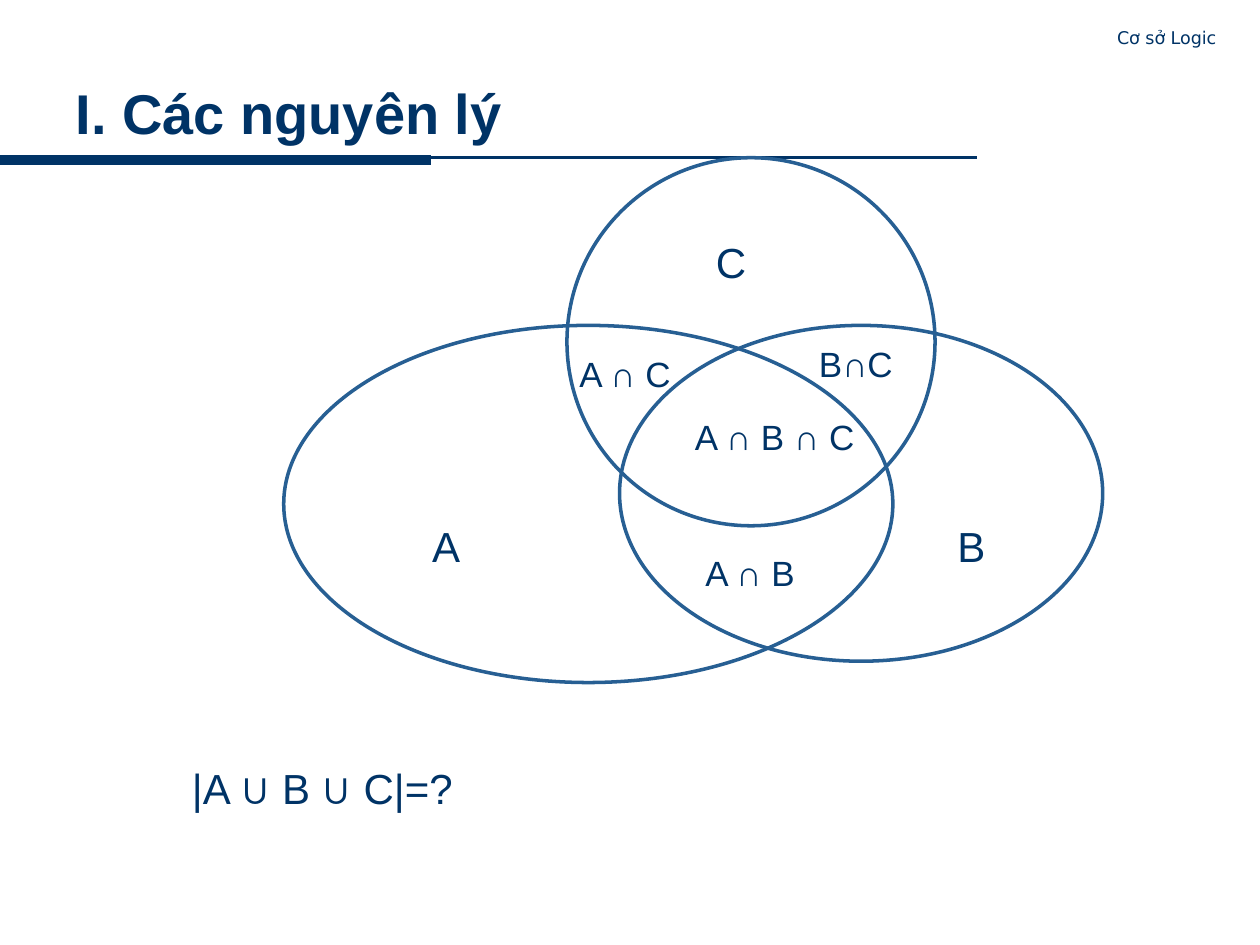
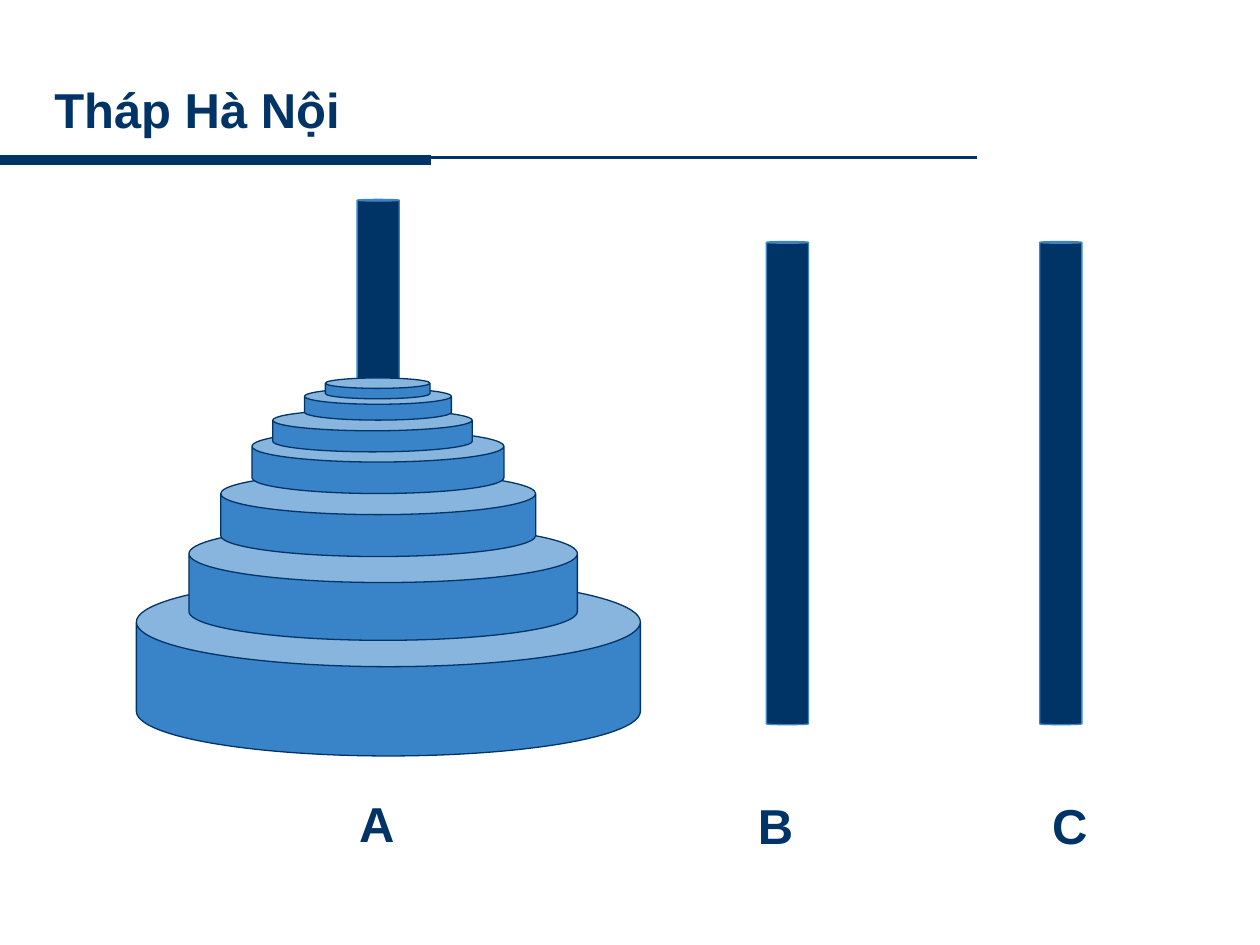
from lxml import etree
from pptx import Presentation
from pptx import util as u
from pptx.dml.color import RGBColor
from pptx.enum import shapes, text
from pptx.oxml import ns

Cm, Pt = u.Cm, u.Pt
NAVY, BLUE, OUTLINE = "003366", "3984C9", "275F93"
FONT = "Arial"


def paint(color_format, hex_color):
    """Give a fill or a font colour its hex colour."""
    color_format.rgb = RGBColor.from_string(hex_color)


def write(sp, words, left, top, width, height, size, bold=False,
          font=FONT, align=text.PP_ALIGN.LEFT, anchor=text.MSO_ANCHOR.TOP):
    """Place a box or placeholder and write one formatted line in it."""
    sp.left, sp.top, sp.width, sp.height = map(Cm, (left, top, width, height))
    tf = sp.text_frame
    tf.word_wrap = True
    tf.auto_size = text.MSO_AUTO_SIZE.NONE
    tf.vertical_anchor = anchor
    p = tf.paragraphs[0]
    p.text = words
    p.alignment = align
    p.font.name, p.font.size, p.font.bold = font, Pt(size), bold
    paint(p.font.color, NAVY)


prs = Presentation()
prs.slide_width, prs.slide_height = Cm(25.4), Cm(19.05)

# Titles and the double rule below them: words, left, width, height, size
titles = [("I. Các nguyên lý", 1.27, 21.39, 1.57, 32),
          ("Tháp Hà Nội", 0.84, 10, 1.45, 28)]
rules = [(19.69, 3.18, 1.5), (8.69, 3.23, 6)]  # right end, height on slide, weight

for words, left, width, height, size in titles:
    s = prs.slides.add_slide(prs.slide_layouts[5])
    for right, y, weight in rules:
        line = s.shapes.add_connector(shapes.MSO_CONNECTOR.STRAIGHT,
                                      Cm(0), Cm(y), Cm(right), Cm(y))
        paint(line.line.color, NAVY)
        line.line.width = Pt(weight)
        etree.SubElement(line._element.spPr, ns.qn("a:effectLst"))
    write(s.shapes.title, words, left, 1.47, width, height, size, bold=True,
          anchor=text.MSO_ANCHOR.MIDDLE)

venn, tower = prs.slides

# Slide 1: three overlapping sets
sets = [(11.43, 3.18, 7.42, 7.42),   # C
        (5.72, 6.56, 12.28, 7.2),    # A
        (12.49, 6.56, 9.74, 6.77)]   # B
for box in sets:
    sp = venn.shapes.add_shape(shapes.MSO_SHAPE.OVAL, *map(Cm, box))
    sp.shadow.inherit = False
    sp.fill.background()
    paint(sp.line.color, OUTLINE)
    sp.line.width = Pt(2)

# Labels of the sets and their intersections, then the question
labels = [("A ∩ B", 13.97, 11, 3, 20),
          ("A ∩ C", 11.43, 6.99, 3.4, 20),
          ("B∩C", 16.26, 6.78, 3, 20),
          ("A ∩ B ∩ C", 13.76, 8.26, 4.2, 20),
          ("A", 8.46, 10.37, 1.5, 24),
          ("B", 19.05, 10.37, 1.5, 24),
          ("C", 14.18, 4.65, 1.5, 24),
          ("|A ∪ B ∪ C|=?", 3.62, 15.24, 18.6, 24)]
for words, left, top, width, size in labels:
    sp = venn.shapes.add_textbox(0, 0, 0, 0)
    write(sp, words, left, top, width, 1.27, size)

# Course name in the corner
write(venn.shapes.add_textbox(0, 0, 0, 0), "Cơ sở Logic", 19.89, 0.43, 4.88, 0.64,
      10, font="DejaVu Sans", align=text.PP_ALIGN.RIGHT)

# Slide 2: pegs behind, discs from the largest to the smallest
pegs = [(15.45, 4.87, 0.85, 9.74), (20.96, 4.87, 0.85, 9.74), (7.2, 4.02, 0.85, 3.81)]
discs = [(2.75, 11.64, 10.16, 3.6),
         (3.81, 10.58, 7.83, 2.33),
         (4.45, 9.53, 6.35, 1.69),
         (5.08, 8.68, 5.08, 1.27),
         (5.5, 8.26, 4.02, 0.85),
         (6.14, 7.83, 2.96, 0.64),
         (6.56, 7.62, 2.11, 0.42)]
for cans, fill, edge, curve in [(pegs, NAVY, BLUE, 0.04), (discs, BLUE, NAVY, 0.5)]:
    for box in cans:
        sp = tower.shapes.add_shape(shapes.MSO_SHAPE.CAN, *map(Cm, box))
        sp.adjustments[0] = curve
        sp.shadow.inherit = False
        sp.fill.solid()
        paint(sp.fill.fore_color, fill)
        paint(sp.line.color, edge)
        sp.line.width = Pt(0.75)

# Peg names
for name, left, top in [("A", 6.99, 15.87), ("B", 15.03, 15.91), ("C", 20.96, 15.91)]:
    write(tower.shapes.add_textbox(0, 0, 0, 0), name, left, top, 1.48, 1.45, 28, bold=True)

prs.save("out.pptx")
